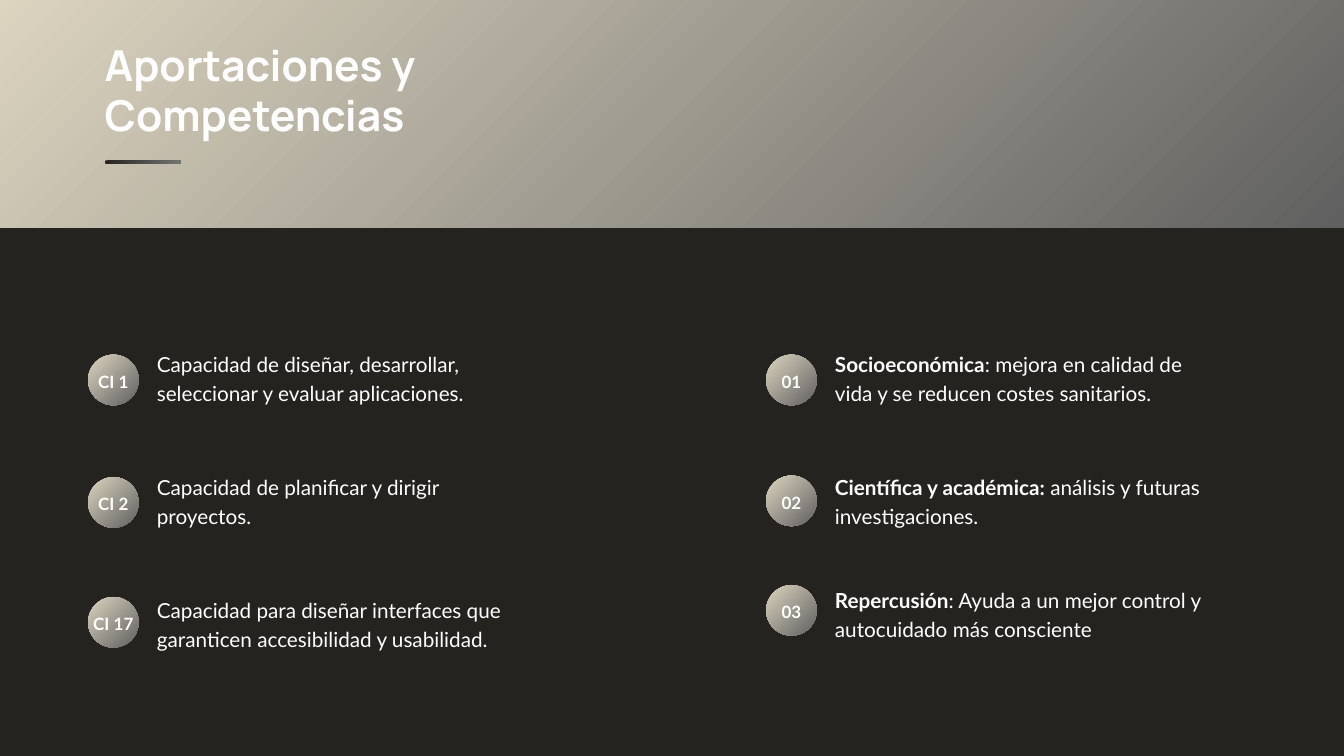
import pptx
import pptx.dml.color
import pptx.enum.shapes
import pptx.enum.text
import pptx.util

Cm, Pt = pptx.util.Cm, pptx.util.Pt
SHAPE = pptx.enum.shapes.MSO_SHAPE
ALIGN = pptx.enum.text.PP_ALIGN
ANCHOR = pptx.enum.text.MSO_ANCHOR

COLOURS = {
    "background": "242320",
    "sand": "DDD5C0",
    "grey": "606060",
    "rule_end": "757773",
    "text": "FFFFFF",
}

TITLE = "Aportaciones y Competencias"

# Badge, bold lead, remaining text, badge top, text top, text width (cm)
COMPETENCES = [
    ("CI 1", "", "Capacidad de diseñar, desarrollar, seleccionar y evaluar aplicaciones.",
     13.41, 13.16, 14.63),
    ("CI 2", "", "Capacidad de planificar y dirigir proyectos.",
     18.04, 17.8, 13.49),
    ("CI 17", "", "Capacidad para diseñar interfaces que garanticen accesibilidad y usabilidad.",
     22.57, 22.43, 15.42),
]
CONTRIBUTIONS = [
    ("01", "Socioeconómica", ": mejora en calidad de vida y se reducen costes sanitarios.",
     13.41, 13.16, 14.63),
    ("02", "Científica y académica:", " análisis y futuras investigaciones.",
     17.98, 17.8, 15.42),
    ("03", "Repercusión", ": Ayuda a un mejor control y autocuidado más consciente",
     22.12, 22.05, 14.63),
]
COLUMNS = [(3.33, COMPETENCES), (28.96, CONTRIBUTIONS)]  # badge left, items

BADGE_SIZE = 1.91
TEXT_OFFSET = 2.6
TEXT_HEIGHT = 2.13


def colour(name):
    return pptx.dml.color.RGBColor.from_string(COLOURS[name])


def add_gradient_shape(slide, kind, left, top, width, height, start, end, angle):
    shape = slide.shapes.add_shape(kind, Cm(left), Cm(top), Cm(width), Cm(height))
    shape.shadow.inherit = False
    shape.line.fill.background()
    shape.fill.gradient()
    shape.fill.gradient_angle = angle
    for stop, name in zip(shape.fill.gradient_stops, (start, end)):
        stop.color.rgb = colour(name)
    return shape


def write(frame, text, *, lead="", font="Lato", size=22.2, spacing=31.1, bold=False,
          align=ALIGN.LEFT, anchor=ANCHOR.TOP, wrap=True):
    """Fill a text frame with an optional bold lead followed by the text."""
    frame.margin_left = frame.margin_right = frame.margin_top = frame.margin_bottom = 0
    frame.word_wrap = wrap
    frame.vertical_anchor = anchor
    paragraph = frame.paragraphs[0]
    paragraph.alignment = align
    paragraph.line_spacing = Pt(spacing)
    for words, is_bold in ((lead, True), (text, bold)):
        if words:
            run = paragraph.add_run()
            run.text = words
            run.font.name = font
            run.font.size = Pt(size)
            run.font.bold = is_bold
            run.font.color.rgb = colour("text")


def add_text(slide, left, top, width, height, text, **style):
    box = slide.shapes.add_textbox(Cm(left), Cm(top), Cm(width), Cm(height))
    write(box.text_frame, text, **style)


def main():
    deck = pptx.Presentation()
    deck.slide_width, deck.slide_height = Cm(50.8), Cm(28.58)
    slide = deck.slides.add_slide(deck.slide_layouts[6])
    slide.background.fill.solid()
    slide.background.fill.fore_color.rgb = colour("background")

    add_gradient_shape(slide, SHAPE.RECTANGLE, -0.43, 0, 51.23, 8.61, "sand", "grey", 315)
    rule = add_gradient_shape(slide, SHAPE.ROUNDED_RECTANGLE, 3.96, 6.06, 2.9, 0.14,
                              "background", "rule_end", 0)
    rule.adjustments[0] = 0.5
    add_text(slide, 3.96, 1.52, 13.49, 3.91, TITLE,
             font="Manrope", size=45.6, spacing=53.4, bold=True)

    for left, items in COLUMNS:
        for code, lead, text, badge_top, text_top, text_width in items:
            badge = add_gradient_shape(slide, SHAPE.OVAL, left, badge_top, BADGE_SIZE,
                                       BADGE_SIZE, "sand", "grey", 315)
            write(badge.text_frame, code, size=18.2, spacing=25.5, bold=True,
                  align=ALIGN.CENTER, anchor=ANCHOR.MIDDLE, wrap=False)
            add_text(slide, left + TEXT_OFFSET, text_top, text_width, TEXT_HEIGHT,
                     text, lead=lead)

    deck.save("out.pptx")


if __name__ == "__main__":
    main()
